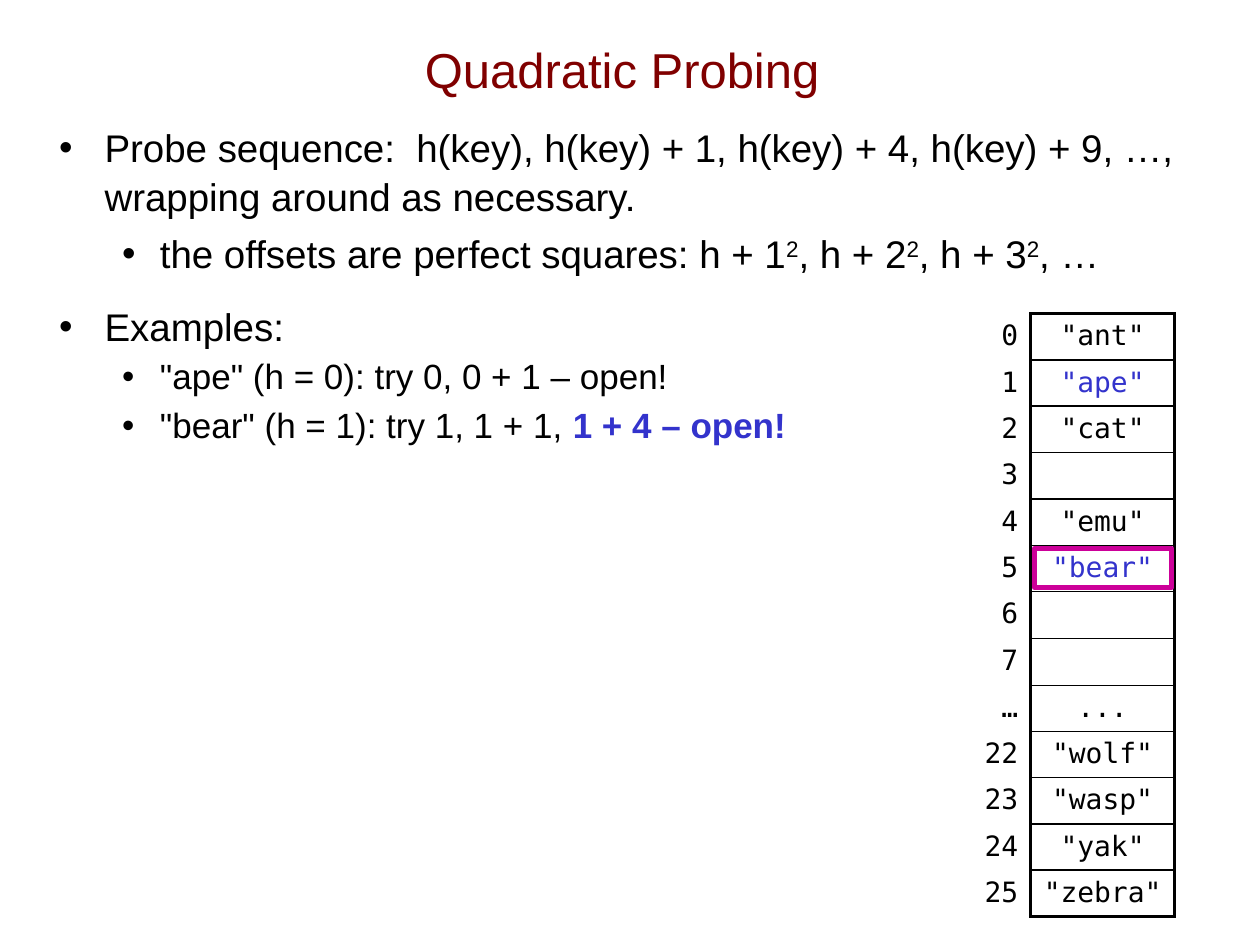
from lxml.etree import SubElement as Sub
from pptx import Presentation
from pptx.dml.color import RGBColor as Rgb
from pptx.enum.shapes import MSO_SHAPE as Kind
from pptx.enum.text import MSO_ANCHOR as Anchor, MSO_AUTO_SIZE as Auto, PP_ALIGN as Align
from pptx.oxml.ns import qn
from pptx.util import Pt

INK = {"title": "800000", "text": "000000", "new": "3333CC", "mark": "CC0099"}
SANS, MONO = "Arial", "DejaVu Sans Mono"
TOP, LEFT, ROW = 179.3, 506.2, 26.4
WIDE = (82.8, 82.1)

SLOTS = [
    ("0", '"ant"'), ("1", '"ape"'), ("2", '"cat"'), ("3", ""),
    ("4", '"emu"'), ("5", '"bear"'), ("6", ""), ("7", ""), ("…", "..."),
    ("22", '"wolf"'), ("23", '"wasp"'), ("24", '"yak"'), ("25", '"zebra"'),
]
ADDED = {'"ape"', '"bear"'}
SQUARE = ("2", "super")
POINTS = [
    (0, 22, 0, 1.05, [
        ("Probe sequence:  h(key), h(key) + 1, h(key) + 4, h(key) + 9, …, ", ""),
        ("", "break"), ("wrapping around as necessary.", "")]),
    (1, 22, 5, 1.05, [
        ("the offsets are perfect squares: h + 1", ""), SQUARE,
        (", h + 2", ""), SQUARE, (", h + 3", ""), SQUARE, (", …", "")]),
    (0, 22, 14, 1.05, [("Examples:", "")]),
    (1, 20, 5, 0.95, [('"ape" (h = 0): try 0, 0 + 1 – open!', "")]),
    (1, 20, 5, 0.95, [
        ('"bear" (h = 1): try 1, 1 + 1, ', ""), ("1 + 4 – open!", "strong")]),
]


class Deck:
    def __init__(self):
        self.show = Presentation()
        self.show.slide_width, self.show.slide_height = Pt(720), Pt(540)
        self.slide = self.show.slides.add_slide(self.show.slide_layouts[1])

    def place(self, shape, *box):
        shape.left, shape.top, shape.width, shape.height = map(Pt, box)
        frame = shape.text_frame
        frame.word_wrap = True
        frame.auto_size = Auto.NONE
        return frame

    def run(self, para, text, size, face=SANS, ink="text", bold=False):
        run = para.add_run()
        run.text = text
        font = run.font
        font.size, font.name, font.bold = Pt(size), face, bold
        font.color.rgb = Rgb.from_string(INK[ink])
        return run

    def title(self, text, *box):
        frame = self.place(self.slide.shapes.title, *box)
        frame.vertical_anchor = Anchor.MIDDLE
        para = frame.paragraphs[0]
        para.alignment = Align.CENTER
        self.run(para, text, 28, ink="title")

    def bullet(self, para, level):
        para.level = level
        props = para._p.get_or_add_pPr()
        left, hang = ((26, 26), (57.6, 21.6))[level]
        props.set("marL", str(Pt(left)))
        props.set("indent", str(-Pt(hang)))
        tint = Sub(props, qn("a:buClr"))
        Sub(tint, qn("a:srgbClr"), val=INK["text"])
        Sub(props, qn("a:buFont"), typeface=SANS)
        Sub(props, qn("a:buChar"), char="•")

    def body(self, points, *box):
        frame = self.place(self.slide.placeholders[1], *box)
        frame.vertical_anchor = Anchor.TOP
        for i, (level, size, gap, lead, parts) in enumerate(points):
            para = frame.add_paragraph() if i else frame.paragraphs[0]
            self.bullet(para, level)
            para.alignment = Align.LEFT
            para.space_before, para.line_spacing = Pt(gap), lead
            for text, look in parts:
                if look == "break":
                    para.add_line_break()
                    continue
                strong = look == "strong"
                run = self.run(para, text, size, ink="new" if strong else "text", bold=strong)
                if look == "super":
                    run._r.get_or_add_rPr().set("baseline", "30000")

    def edge(self, cell, **sides):
        props = cell._tc.get_or_add_tcPr()
        for side in "LRTB":
            if side in sides:
                line = Sub(props, qn("a:ln" + side), w=str(Pt(sides[side])))
                fill = Sub(line, qn("a:solidFill"))
                Sub(fill, qn("a:srgbClr"), val=INK["text"])

    def cell(self, cell, text, align, ink="text"):
        cell.fill.background()
        para = cell.text_frame.paragraphs[0]
        para.alignment = align
        if text:
            self.run(para, text, 16, MONO, ink)
        else:
            para._p.get_or_add_endParaRPr().set("sz", "1600")

    def table(self, slots):
        last = len(slots) - 1
        frame = self.slide.shapes.add_table(
            len(slots), 2, Pt(LEFT), Pt(TOP), Pt(sum(WIDE)), Pt(ROW * len(slots)))
        grid = frame.table
        grid.first_row = grid.horz_banding = False
        for col, wide in zip(grid.columns, WIDE):
            col.width = Pt(wide)
        for i, (key, word) in enumerate(slots):
            grid.rows[i].height = Pt(ROW)
            index, value = grid.cell(i, 0), grid.cell(i, 1)
            self.edge(index, R=2.25)
            self.edge(value, L=2.25, R=2.25,
                      T=1 if i else 2.25, B=1 if i < last else 2.25)
            self.cell(index, key, Align.RIGHT)
            self.cell(value, word, Align.CENTER, "new" if word in ADDED else "text")

    def mark(self, row):
        box = self.slide.shapes.add_shape(
            Kind.RECTANGLE, Pt(LEFT + WIDE[0] + 2.1), Pt(TOP + row * ROW + 2),
            Pt(78.5), Pt(22.3))
        box.shadow.inherit = False
        box.fill.background()
        box.line.color.rgb = Rgb.from_string(INK["mark"])
        box.line.width = Pt(3)


def main():
    deck = Deck()
    deck.title("Quadratic Probing", 46, 5.8, 619, 67)
    deck.body(POINTS, 26.6, 66.2, 666, 442)
    deck.table(SLOTS)
    deck.mark(5)
    deck.show.save("out.pptx")


if __name__ == "__main__":
    main()
